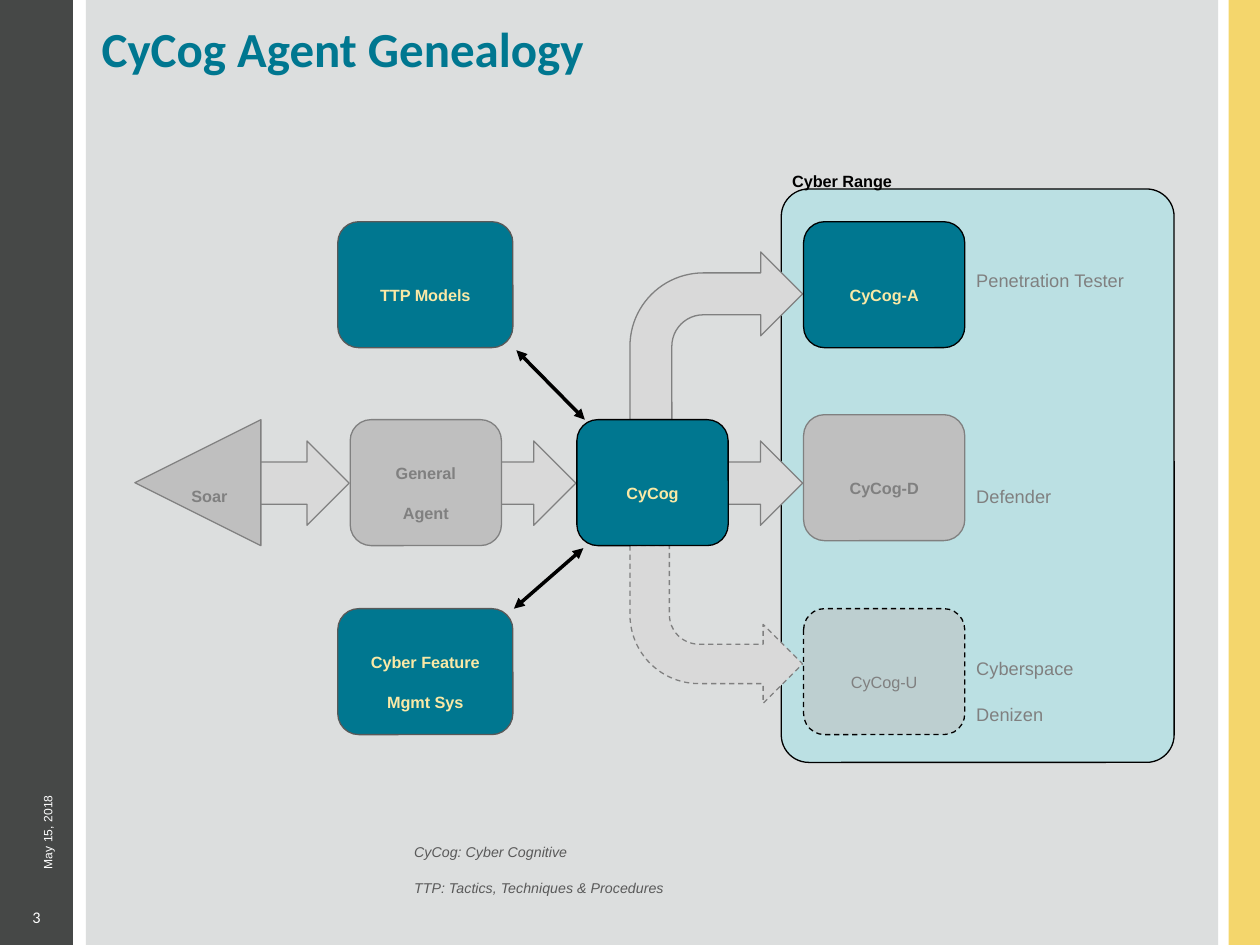
from dataclasses import dataclass

from lxml.etree import SubElement
from pptx import Presentation
from pptx.dml.color import RGBColor
from pptx.enum.dml import MSO_LINE
from pptx.enum.shapes import MSO_CONNECTOR, MSO_SHAPE
from pptx.enum.text import MSO_ANCHOR, PP_ALIGN
from pptx.oxml.ns import qn
from pptx.util import Cm, Pt


@dataclass(frozen=True)
class Theme:
    dark: str = "464847"
    yellow: str = "F4D66C"
    panel: str = "DCDEDE"
    range_fill: str = "BBE0E3"
    teal: str = "007790"
    cream: str = "FAE9A6"
    silver: str = "BFBFBF"
    arrow: str = "D9D9D9"
    gray: str = "808080"
    note: str = "595959"
    black: str = "000000"
    white: str = "FFFFFF"
    body_font: str = "Arial"
    title_font: str = "Calibri"
    title_size: int = 28
    role_size: int = 18
    box_size: int = 16
    note_size: int = 14
    date_size: int = 12
    hairline: float = 0.75
    link_width: float = 2
    lowered: int = -33000  # subscript offset, thousandths of a percent


def write_text(tf, text, size, color, font, bold=False, italic=False,
               align=PP_ALIGN.LEFT, anchor=MSO_ANCHOR.TOP, baseline=None):
    tf.word_wrap = True
    tf.vertical_anchor = anchor
    for i, line in enumerate(text.split("\n")):
        p = tf.paragraphs[0] if i == 0 else tf.add_paragraph()
        p.alignment = align
        r = p.add_run()
        r.text = line
        r.font.size, r.font.name = Pt(size), font
        r.font.bold, r.font.italic = bold, italic
        r.font.color.rgb = RGBColor.from_string(color)
        if baseline:
            r.font._element.set("baseline", str(baseline))


class Diagram:
    def __init__(self, slide, theme):
        self.s, self.t = slide, theme

    def shape(self, kind, x, y, w, h, fill, line=None, dash=False, alpha=None):
        sp = self.s.shapes.add_shape(kind, Cm(x), Cm(y), Cm(w), Cm(h))
        sp.shadow.inherit = False
        sp.fill.solid()
        sp.fill.fore_color.rgb = RGBColor.from_string(fill)
        if alpha:
            color = sp._element.spPr.find(qn("a:solidFill"))[0]
            SubElement(color, qn("a:alpha")).set("val", str(alpha * 1000))
        if line is None:
            sp.line.fill.background()
        else:
            sp.line.color.rgb = RGBColor.from_string(line)
            sp.line.width = Pt(self.t.hairline)
            if dash:
                sp.line.dash_style = MSO_LINE.DASH
        return sp

    def box(self, text, x, y, w, fill, line, color, bold=True, **look):
        sp = self.shape(MSO_SHAPE.ROUNDED_RECTANGLE, x, y, w, BOX_H, fill, line, **look)
        write_text(sp.text_frame, text, self.t.box_size, color, self.t.body_font, bold,
                   align=PP_ALIGN.CENTER, anchor=MSO_ANCHOR.MIDDLE,
                   baseline=self.t.lowered)

    def arrow(self, kind, x, y, w, h, dash=False, flip=False):
        sp = self.shape(kind, x, y, w, h, self.t.arrow, self.t.gray, dash)
        if flip:
            sp._element.spPr.find(qn("a:xfrm")).set("flipV", "1")

    def label(self, text, x, y, w, h, size, color, font=None, lowered=True, **fmt):
        sp = self.s.shapes.add_textbox(Cm(x), Cm(y), Cm(w), Cm(h))
        write_text(sp.text_frame, text, size, color, font or self.t.body_font,
                   baseline=self.t.lowered if lowered else None, **fmt)
        return sp

    def link(self, x1, y1, x2, y2):
        c = self.s.shapes.add_connector(MSO_CONNECTOR.STRAIGHT, Cm(x1), Cm(y1), Cm(x2), Cm(y2))
        c.line.color.rgb = RGBColor.from_string(self.t.black)
        c.line.width = Pt(self.t.link_width)
        ln = c.line._get_or_add_ln()
        for end in ("a:headEnd", "a:tailEnd"):
            SubElement(ln, qn(end)).set("type", "triangle")
        SubElement(c._element.spPr, qn("a:effectLst"))


# Shared grid, in centimetres
SLIDE_W, SLIDE_H = 25.4, 19.05
BOX_H = 2.54
TOP_Y, CORE_Y, AGENT_D_Y, BOTTOM_Y = 4.47, 8.46, 8.36, 12.27
SOURCE_X, SOURCE_W = 6.81, 3.53
CORE_X, CORE_W, STEP = 7.06, 3.05, 4.57
AGENT_X, AGENT_W = 16.2, 3.25
ROLE_X, ROLE_W = 19.43, 4.14


def main():
    prs = Presentation()
    prs.slide_width, prs.slide_height = Cm(SLIDE_W), Cm(SLIDE_H)
    t = Theme()
    d = Diagram(prs.slides.add_slide(prs.slide_layouts[6]), t)

    # Background bands, date, title and page number
    for x, w, fill in ((0, 1.47, t.dark), (24.77, 0.63, t.yellow), (1.73, 22.83, t.panel)):
        d.shape(MSO_SHAPE.RECTANGLE, x, 0, w, SLIDE_H, fill)
    date = d.label("May 15, 2018", -2.77, 13.87, 7.04, 0.76, t.date_size, t.white)
    date.rotation = 270
    d.label("CyCog Agent Genealogy", 1.8, 0.25, 20.52, 2.34, t.title_size, t.teal,
            t.title_font, lowered=False, bold=True)
    d.label("3", 0, 17.75, 1.47, 1.27, t.box_size, t.white, t.title_font,
            align=PP_ALIGN.CENTER)

    # Cyber range
    area = d.shape(MSO_SHAPE.ROUNDED_RECTANGLE, 15.75, 3.81, 7.92, 11.56,
                   t.range_fill, t.black)
    area.adjustments[0] = 0.07
    d.label("Cyber Range", 15.72, 2.9, 4.01, 0.94, t.box_size, t.black, bold=True)

    # Block arrows
    d.arrow(MSO_SHAPE.BENT_ARROW, 12.7, 5.08, 3.48, 3.38)
    d.arrow(MSO_SHAPE.BENT_ARROW, 12.7, 11, 3.48, 3.18, dash=True, flip=True)
    for i in range(3):
        d.arrow(MSO_SHAPE.RIGHT_ARROW, 5.21 + i * STEP, 8.89, 1.83, 1.7)

    # Soar, the general agent and CyCog
    soar = d.shape(MSO_SHAPE.ISOSCELES_TRIANGLE, 2.72, CORE_Y, BOX_H, BOX_H, t.silver, t.gray)
    soar.rotation = 270
    d.label("Soar", 3.61, 9.25, 1.78, 0.94, t.box_size, t.gray, bold=True)
    d.box("General\nAgent", CORE_X, CORE_Y, CORE_W, t.silver, t.gray, t.gray)
    d.box("CyCog", CORE_X + STEP, CORE_Y, CORE_W, t.teal, t.black, t.cream)

    # Knowledge sources
    for text, y in (("TTP Models", TOP_Y), ("Cyber Feature Mgmt Sys", BOTTOM_Y)):
        d.box(text, SOURCE_X, y, SOURCE_W, t.teal, t.note, t.cream)
    d.link(10.41, 7.06, 11.79, 8.46)
    d.link(11.76, 11.05, 10.36, 12.27)

    # Derived agents and their roles
    d.box("CyCog-A", AGENT_X, TOP_Y, AGENT_W, t.teal, t.black, t.cream)
    d.box("CyCog-D", AGENT_X, AGENT_D_Y, AGENT_W, t.silver, t.gray, t.gray)
    d.box("CyCog-U", AGENT_X, BOTTOM_Y, AGENT_W, t.silver, t.black, t.gray,
          bold=False, dash=True, alpha=50)
    for text, y, h in (("Penetration Tester", 4.83, 1.8), ("Defender", 9.19, 1.02),
                       ("Cyberspace\nDenizen", 12.65, 1.8)):
        d.label(text, ROLE_X, y, ROLE_W, h, t.role_size, t.gray)

    # Abbreviations
    d.label("CyCog: Cyber Cognitive\nTTP: Tactics, Techniques & Procedures",
            8.1, 16.51, 9.22, 1.45, t.note_size, t.note, italic=True)

    prs.save("out.pptx")


if __name__ == "__main__":
    main()
